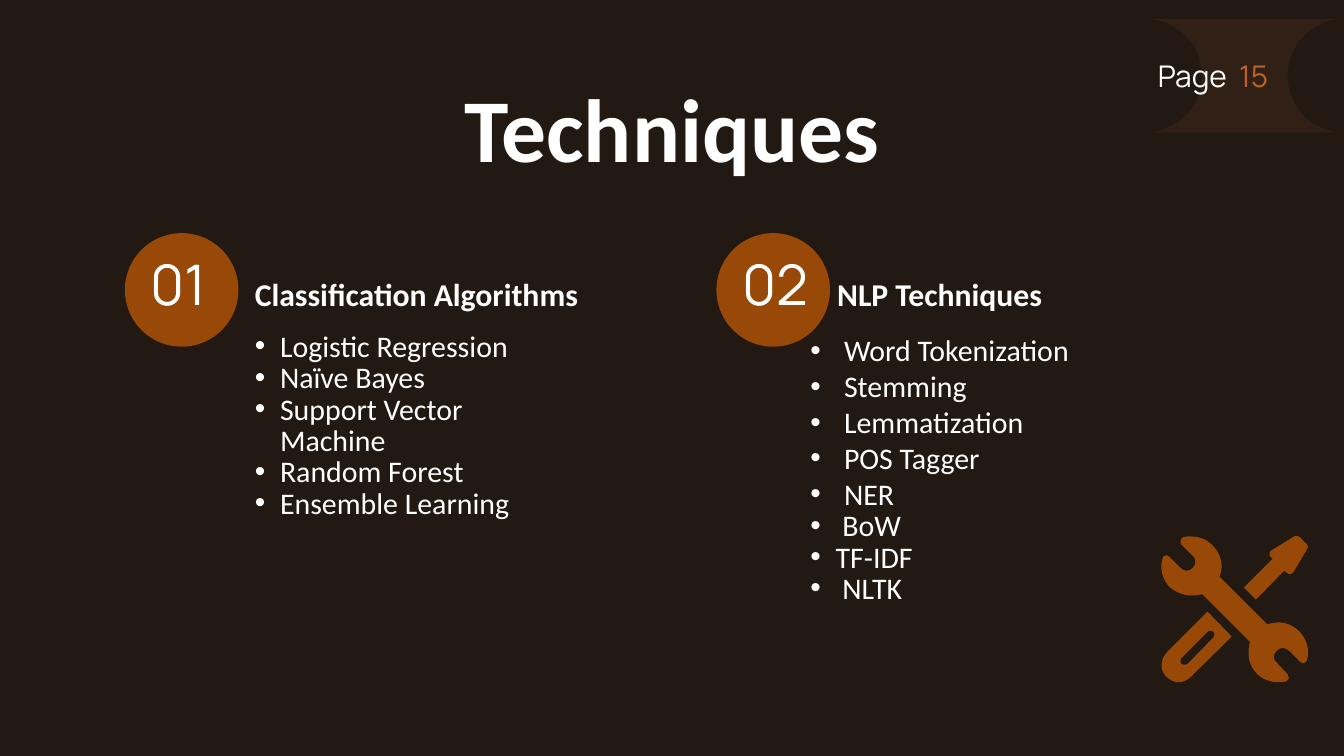
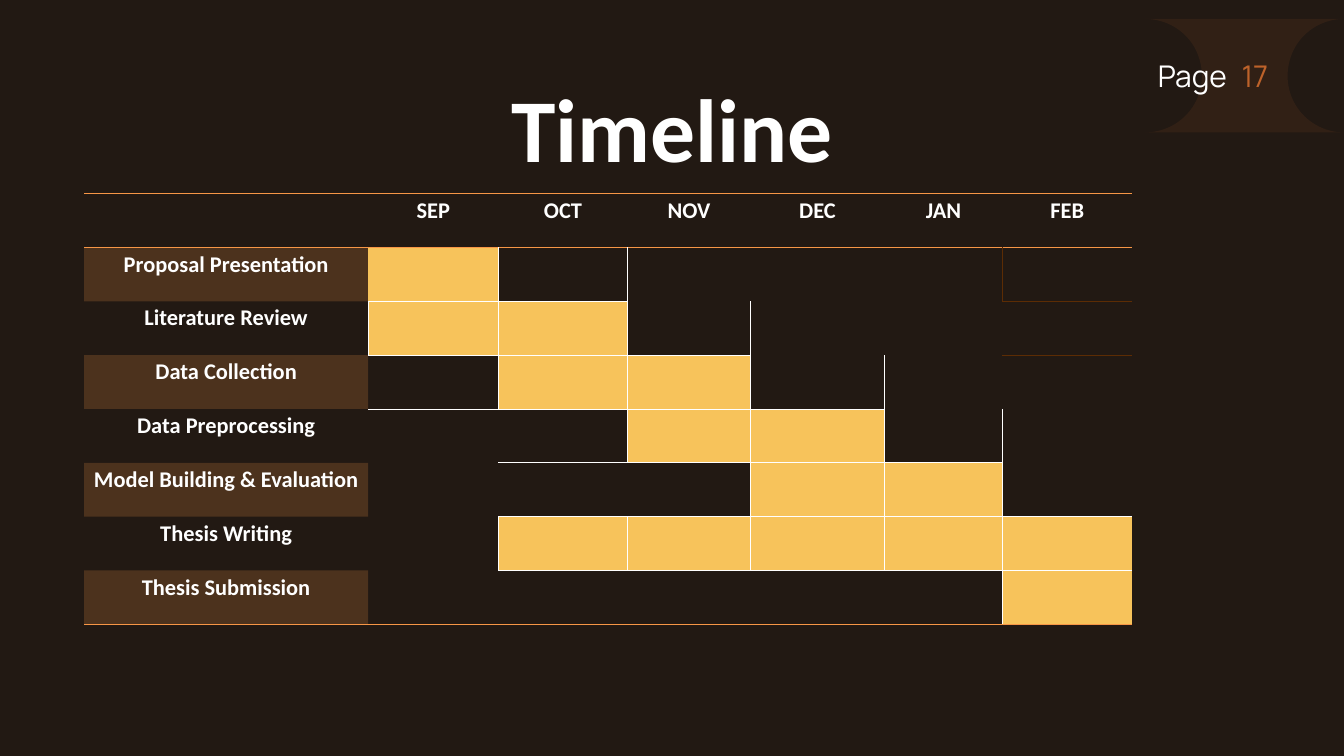
import lxml.etree
import pptx
import pptx.dml.color
import pptx.enum.shapes
import pptx.enum.text
import pptx.oxml.ns
import pptx.util

Pt = pptx.util.Pt
qn = pptx.oxml.ns.qn
ALIGN = pptx.enum.text.PP_ALIGN

BACKGROUND = "221913"
WHITE = "FFFFFF"
RUST = "BD622A"
BROWN = "984807"
ORANGE = "F79646"
DARK_BROWN = "5C2C04"
YELLOW = "F7C35B"
NO_STYLE_NO_GRID = "{2D5ABB26-0587-4C30-8999-92F81FD0307C}"

# Outlines are lists of contours on a fine grid: a pair is a corner,
# six numbers are a cubic curve from the point before.
GRID = 0.72
BADGE = [[
    (297, 0), (267, 0, 239, 16, 224, 42), (209, 69, 209, 101, 224, 127),
    (239, 153, 267, 169, 297, 169), (0, 169), (31, 169, 59, 153, 74, 127),
    (89, 101, 89, 69, 74, 42), (59, 16, 31, 0, 0, 0),
]]
WRENCH = [[
    (48, 1), (44, 1, 40, 1, 36, 2), (34, 3, 32, 5, 32, 7),
    (31, 9, 32, 11, 33, 13), (50, 30), (55, 34, 55, 43, 50, 48),
    (47, 51, 44, 52, 41, 52), (38, 52, 34, 51, 32, 48), (15, 31),
    (14, 30, 12, 29, 11, 29), (10, 29, 9, 29, 9, 30), (6, 30, 5, 32, 5, 34),
    (0, 49, 5, 65, 16, 77), (25, 84, 36, 89, 49, 89), (53, 89, 59, 88, 64, 87),
    (135, 158), (130, 178, 134, 193, 145, 205), (154, 214, 165, 218, 177, 218),
    (181, 218, 184, 218, 188, 217), (190, 216, 192, 215, 193, 212),
    (193, 210, 193, 208, 191, 206), (175, 189), (169, 184, 169, 177, 175, 171),
    (177, 169, 180, 167, 184, 167), (187, 167, 190, 169, 193, 171), (210, 188),
    (211, 189, 212, 190, 214, 190), (214, 190, 215, 190, 216, 189),
    (218, 189, 219, 187, 220, 185), (224, 170, 220, 154, 208, 142),
    (200, 134, 190, 129, 177, 129), (172, 129, 167, 130, 161, 132),
    (90, 61), (91, 57), (96, 42, 91, 26, 79, 14), (70, 5, 59, 1, 48, 1),
]]
HANDLE = [
    [(76, 141), (78, 141, 80, 142, 81, 143), (83, 145, 83, 150, 81, 151),
     (42, 191), (41, 191, 39, 192, 38, 192), (36, 192, 34, 191, 33, 191),
     (31, 188, 31, 184, 33, 182), (72, 143), (73, 142, 75, 141, 76, 141)],
    [(72, 113), (11, 174), (1, 185, 1, 201, 11, 210), (16, 215, 23, 218, 29, 218),
     (36, 218, 42, 215, 47, 210), (108, 150), (72, 113)],
]
BLADE = [[
    (205, 0), (204, 0, 202, 0, 201, 1), (167, 22), (164, 23, 163, 29, 166, 32),
    (169, 34), (126, 77), (144, 95), (186, 52), (190, 55),
    (191, 57, 193, 57, 195, 57), (197, 57, 199, 56, 200, 54), (220, 20),
    (222, 19, 222, 15, 220, 13), (209, 2), (208, 0, 207, 0, 205, 0),
]]


def paint(fill, colour, opacity=100):
    fill.solid()
    fill.fore_color.rgb = pptx.dml.color.RGBColor.from_string(colour)
    if opacity < 100:
        for element in fill._xPr.iter(qn("a:srgbClr")):
            lxml.etree.SubElement(element, qn("a:alpha"), val=str(opacity * 1000))


def write_text(target, text, size, box=None, font="Calibri", colour=WHITE, bold=False,
               align=ALIGN.LEFT, spacing=1.0, indent=0):
    """Add one paragraph to a shape or cell; an indent gives it a bullet."""
    frame = target.text_frame
    if box:
        target.left, target.top, target.width, target.height = map(Pt, box)
        frame.margin_left = frame.margin_right = frame.margin_top = frame.margin_bottom = 0
        frame.word_wrap = True
        frame.auto_size = pptx.enum.text.MSO_AUTO_SIZE.NONE
        frame.vertical_anchor = pptx.enum.text.MSO_ANCHOR.TOP
    paragraph = frame.paragraphs[0]
    if paragraph.text:
        paragraph = frame.add_paragraph()
    paragraph.alignment = align
    paragraph.line_spacing = spacing
    paragraph.space_before = paragraph.space_after = Pt(0)
    properties = paragraph._p.get_or_add_pPr()
    properties.set("marL", str(Pt(indent)))
    properties.set("indent", str(-Pt(indent)))
    if indent:
        lxml.etree.SubElement(properties, qn("a:buChar"), char="•")
    else:
        lxml.etree.SubElement(properties, qn("a:buNone"))
    run = paragraph.add_run()
    run.text = text
    run.font.name, run.font.size, run.font.bold = font, Pt(size), bold
    paint(run.font.fill, colour)


presentation = pptx.Presentation()
presentation.slide_width, presentation.slide_height = Pt(1440), Pt(810)
paint(presentation.slide_master.background.fill, BACKGROUND)
comparison_layout = presentation.slide_layouts[4]
title_layout = presentation.slide_layouts[5]

# Shared frame: badge, page number and title; the tools only on the first slide
badge = (BADGE, 1226.4, 20.2, RUST, 10)
tools = [(outline, 1242, 574, BROWN, 100) for outline in (WRENCH, HANDLE, BLADE)]
slides = []
for layout, title, page, outlines in [
    (comparison_layout, "Techniques", "15", [badge, *tools]),
    (title_layout, "Timeline", "17", [badge]),
]:
    slide = presentation.slides.add_slide(layout)
    slides.append(slide)
    for contours, left, top, colour, opacity in outlines:
        builder = slide.shapes.build_freeform(*contours[0][0], scale=Pt(GRID))
        for contour in contours:
            if contour is not contours[0]:
                builder.move_to(*contour[0])
            builder.add_line_segments([step[-2:] for step in contour[1:]], close=True)
        shape = builder.convert_to_shape(Pt(left), Pt(top))
        shape.shadow.inherit = False
        shape.line.fill.background()
        paint(shape.fill, colour, opacity)
        # Bend the segments that have control points
        steps = [step for contour in contours for step in contour[1:]]
        segments = list(shape._element.iter(qn("a:lnTo")))
        min_x = min(step[-2] for contour in contours for step in contour)
        min_y = min(step[-1] for contour in contours for step in contour)
        for step, segment in zip(steps, segments):
            if len(step) == 6:
                curve = lxml.etree.Element(qn("a:cubicBezTo"))
                for x, y in zip(step[::2], step[1::2]):
                    lxml.etree.SubElement(curve, qn("a:pt"), x=str(x - min_x), y=str(y - min_y))
                segment.getparent().replace(segment, curve)
    write_text(slide.shapes.add_textbox(0, 0, 0, 0), "Page", 32, (1240.6, 55.5, 94.5, 44.5),
               font="Manrope", spacing=Pt(44.8))
    write_text(slide.shapes.add_textbox(0, 0, 0, 0), page, 32, (1307.6, 55.5, 51.2, 44.5),
               font="Manrope", colour=RUST, align=ALIGN.RIGHT, spacing=Pt(44.8))
    write_text(slide.shapes.title, title, 96, (245.5, 72, 949, 117.5), bold=True,
               align=ALIGN.CENTER, spacing=Pt(121.1))
techniques, timeline = slides

# Techniques: two numbered lists
tight = {"indent": 27, "spacing": Pt(33.6)}
loose = {"indent": 36}
columns = [
    ("01", "Classification Algorithms", (273, 287.5, 516, 46), (273, 355.8, 299, 274.5),
     [("Logistic Regression", tight), ("Naïve Bayes", tight), ("Support Vector Machine", tight),
      ("Random Forest", tight), ("Ensemble Learning", tight)]),
    ("02", "NLP Techniques", (897, 287.5, 280, 46), (868.3, 355.8, 415.5, 366),
     [("Word Tokenization", loose), ("Stemming", loose), ("Lemmatization", loose),
      ("POS Tagger", loose), ("NER", loose), (" BoW", tight), ("TF-IDF", tight),
      (" NLTK", tight)]),
]
for index, (number, heading, heading_box, list_box, items) in enumerate(columns):
    write_text(techniques.placeholders[1 + 2 * index], heading, 34, heading_box,
               bold=True, spacing=Pt(47.6))
    for item, style in items:
        write_text(techniques.placeholders[2 + 2 * index], item, 32, list_box, **style)
    left = 133.8 + 633.8 * index
    circle = techniques.shapes.add_shape(pptx.enum.shapes.MSO_SHAPE.OVAL,
                                         Pt(left), Pt(249.8), Pt(121.7), Pt(121.7))
    circle.shadow.inherit = False
    circle.line.fill.background()
    paint(circle.fill, BROWN)
    write_text(techniques.shapes.add_textbox(0, 0, 0, 0), number, 59.9,
               (left + 27.5, 278, 123, 66), font="Manrope", spacing=Pt(61.1))

# Timeline: each task with the first and last month of its bar
months = ["SEP", "OCT", "NOV", "DEC", "JAN", "FEB"]
tasks = [
    ("Proposal Presentation", 1, 1),
    ("Literature Review", 1, 2),
    ("Data Collection", 2, 3),
    ("Data Preprocessing", 3, 4),
    ("Model Building & Evaluation", 4, 5),
    ("Thesis Writing", 2, 6),
    ("Thesis Submission", 6, 6),
]
last_row, last_column = len(tasks), len(months)
table_frame = timeline.shapes.add_table(last_row + 1, last_column + 1,
                                        Pt(90), Pt(207.4), Pt(1123), Pt(461.6))
table = table_frame.table
table.first_row = table.horz_banding = False
table._tbl.tblPr.find(qn("a:tableStyleId")).text = NO_STYLE_NO_GRID
for column, width in zip(table.columns, (304.5, 139.6, 138.2, 131.7, 143.8, 126.3, 138.9)):
    column.width = Pt(width)
for row in table.rows:
    row.height = Pt(57.7)

borders = {(1, 6, "L"): DARK_BROWN, (1, 6, "B"): DARK_BROWN, (2, 6, "B"): DARK_BROWN}
for column, month in enumerate(months, 1):
    write_text(table.cell(0, column), month, 24, bold=True, align=ALIGN.CENTER)
for row, (task, first, last) in enumerate(tasks, 1):
    write_text(table.cell(row, 0), task, 24, bold=True, align=ALIGN.CENTER)
    if row % 2:
        paint(table.cell(row, 0).fill, ORANGE, 20)
    for column in range(first, last + 1):
        paint(table.cell(row, column).fill, YELLOW)
        borders.update({(row, column, side): WHITE for side in "LTB"})
        if column < last_column:
            borders[row, column, "R"] = WHITE
    if row <= 5:
        if last + 1 < last_column:
            borders[row, last + 1, "R"] = WHITE
        if first > 1:
            borders[row, first - 1, "B"] = WHITE
del borders[1, 1, "L"]
for column in range(last_column + 1):
    borders.update({(0, column, "T"): ORANGE, (0, column, "B"): ORANGE,
                    (1, column, "T"): ORANGE, (last_row, column, "B"): ORANGE})

# Neighbouring cells carry the same line on their common side
opposite = {"L": ("R", 0, -1), "R": ("L", 0, 1), "T": ("B", -1, 0), "B": ("T", 1, 0)}
for (row, column, side), colour in list(borders.items()):
    other_side, down, right = opposite[side]
    borders.setdefault((row + down, column + right, other_side), colour)
for row in range(last_row + 1):
    for column in range(last_column + 1):
        properties = table.cell(row, column)._tc.get_or_add_tcPr()
        for position, side in enumerate("LRTB"):
            colour = borders.get((row, column, side))
            line = lxml.etree.Element(qn("a:ln" + side), w=str(Pt(1)))
            properties.insert(position, line)
            if colour:
                solid = lxml.etree.SubElement(line, qn("a:solidFill"))
                lxml.etree.SubElement(solid, qn("a:srgbClr"), val=colour)
            else:
                lxml.etree.SubElement(line, qn("a:noFill"))

presentation.save("out.pptx")
